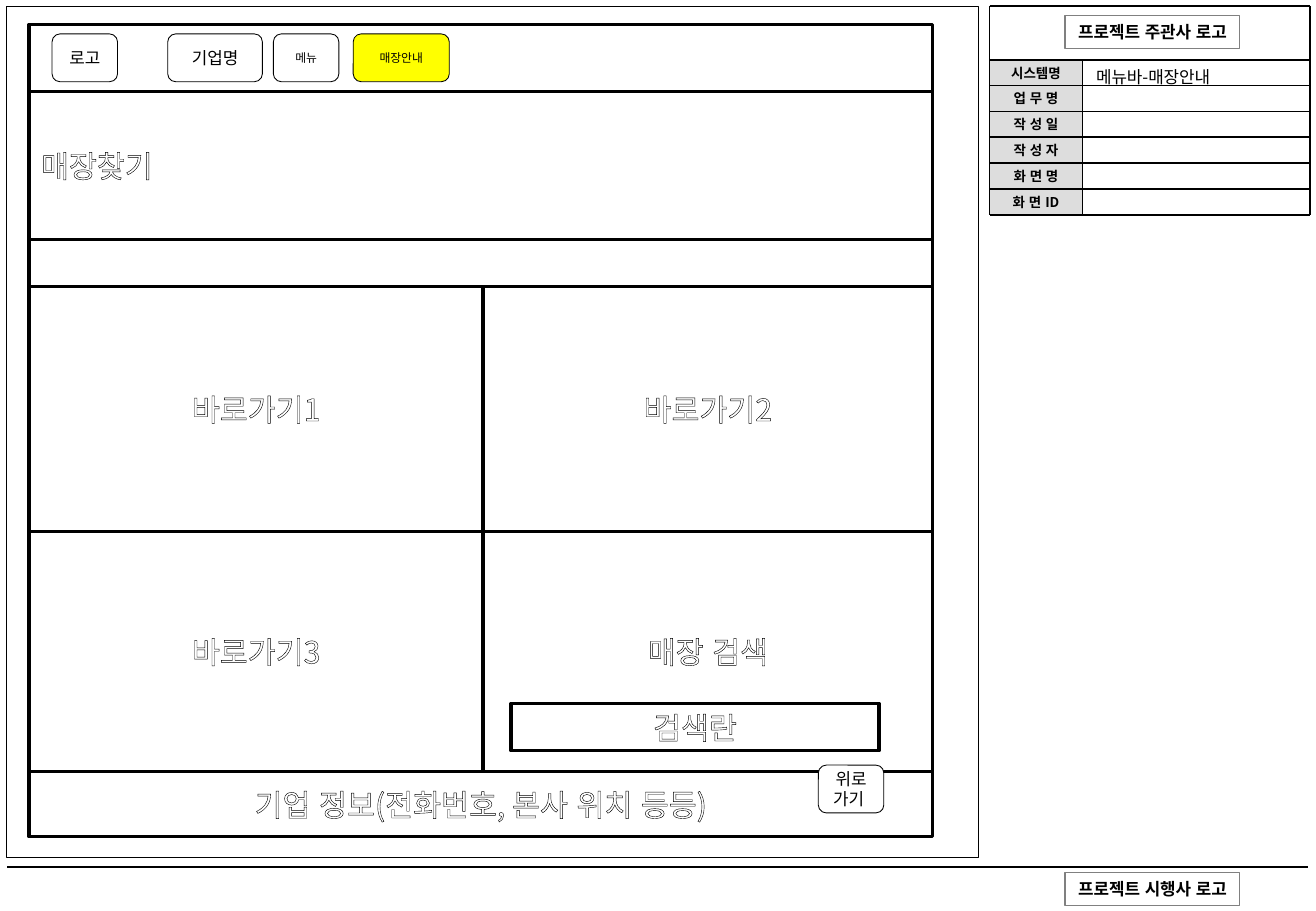
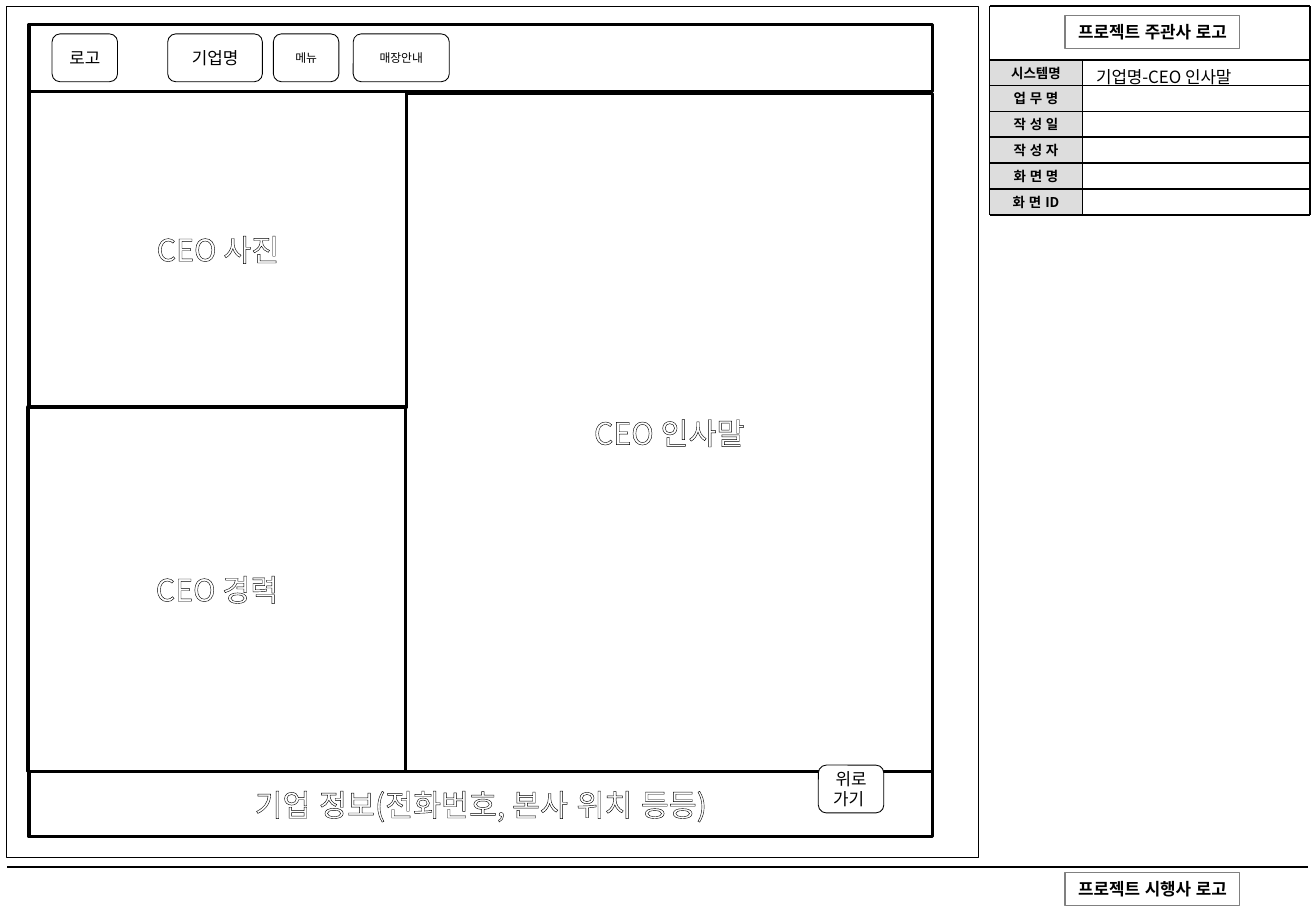
"""Build two storyboard slides that share one project frame and page wireframe."""
from dataclasses import dataclass

from lxml import etree
from pptx import Presentation
from pptx.dml.color import RGBColor
from pptx.enum.lang import MSO_LANGUAGE_ID
from pptx.enum.shapes import MSO_CONNECTOR, MSO_SHAPE
from pptx.enum.text import MSO_ANCHOR, PP_ALIGN
from pptx.oxml import parse_xml
from pptx.oxml.ns import nsdecls, qn
from pptx.slide import Slide
from pptx.util import Cm, Pt

RECT = MSO_SHAPE.RECTANGLE
ROUND = MSO_SHAPE.ROUNDED_RECTANGLE
STRAIGHT = MSO_CONNECTOR.STRAIGHT
MIDDLE, TOP = MSO_ANCHOR.MIDDLE, MSO_ANCHOR.TOP
LEFT, CENTER = PP_ALIGN.LEFT, PP_ALIGN.CENTER
KOREAN = MSO_LANGUAGE_ID.KOREAN


@dataclass(frozen=True)
class Theme:
    font: str = "Noto Sans CJK KR"
    white: str = "FFFFFF"
    black: str = "000000"
    label: str = "DDDDDD"
    gray: str = "808080"
    active: str = "FFFF00"
    tiny: float = 7
    small: float = 8
    body: float = 10
    title: float = 18
    thin: float = 0.5
    frame: float = 0.7
    grid: float = 0.95
    thick: float = 2
    outline: float = 0.75


T = Theme()


@dataclass(frozen=True)
class Style:
    size: float = T.body
    color: str = T.black
    bold: bool = False
    outlined: bool = False
    align: PP_ALIGN = CENTER
    anchor: MSO_ANCHOR = MIDDLE
    inset: tuple[float, float] = (0.25, 0.13)
    wrap: bool = True


@dataclass(frozen=True)
class Box:
    x: float
    y: float
    w: float
    h: float
    text: str = ""
    style: Style = Style()
    fill: str = T.white
    line: str = T.black
    weight: float = T.thick
    kind: MSO_SHAPE = RECT


@dataclass(frozen=True)
class Button:
    x: float
    w: float
    text: str
    size: float = T.body


@dataclass(frozen=True)
class Screen:
    name: str
    panes: tuple[Box, ...]
    active: str = ""


PANE = Style(size=T.title, color=T.white, outlined=True)
HERO = Style(size=T.title, color=T.white, outlined=True, align=LEFT)
LABEL = Style(size=T.small, bold=True, inset=(0.1, 0.1))
LOGO = Style(bold=True, wrap=False)
VALUE = Style(align=LEFT, anchor=TOP)

PAGE_X, PAGE_W, PAGE_TOP, HEAD_H = 0.61, 18.9, 0.51, 1.4
PAGE_R, BODY_Y, FOOT_Y, FOOT_H = PAGE_X + PAGE_W, PAGE_TOP + HEAD_H, 16.13, 1.37
BUTTON_Y, BUTTON_W, BUTTON_H = 0.71, 1.37, 1
PANEL_X, PANEL_MID, PANEL_R, PANEL_TOP = 20.7, 22.65, 27.41, 0.13
ROWS_Y, ROW_H = 1.25, 0.54
LABELS = ("시스템명", "업 무 명", "작 성 일", "작 성 자", "화 면 명", "화 면 ID")
LOGOS = ((0.33, "프로젝트 주관사 로고"), (18.24, "프로젝트 시행사 로고"))
NAV = (
    Button(1.09, BUTTON_W, "로고"),
    Button(3.51, 1.98, "기업명"),
    Button(5.72, BUTTON_W, "메뉴", T.tiny),
    Button(7.39, 2.01, "매장안내", T.tiny),
)


def rgb(color: str) -> RGBColor:
    return RGBColor.from_string(color)


def write(sp, text: str, style: Style) -> None:
    tf = sp.text_frame
    dx, dy = (Cm(v) for v in style.inset)
    frame = {"word_wrap": style.wrap, "vertical_anchor": style.anchor,
             "margin_left": dx, "margin_right": dx, "margin_top": dy, "margin_bottom": dy}
    for key, value in frame.items():
        setattr(tf, key, value)
    p = tf.paragraphs[0]
    p.alignment = style.align
    r = p.add_run()
    r.text = text
    face = {"name": T.font, "size": Pt(style.size), "bold": style.bold, "language_id": KOREAN}
    for key, value in face.items():
        setattr(r.font, key, value)
    r.font.color.rgb = rgb(style.color)
    rpr = r.font._element
    rpr.find(qn("a:latin")).addnext(parse_xml(f'<a:ea {nsdecls("a")} typeface="{T.font}"/>'))
    if style.outlined:
        rpr.insert(0, parse_xml(
            f'<a:ln {nsdecls("a")} w="{Pt(T.outline)}"><a:solidFill>'
            f'<a:srgbClr val="{T.black}"/></a:solidFill></a:ln>'))


def draw(s: Slide, box: Box) -> None:
    sp = s.shapes.add_shape(box.kind, *(Cm(v) for v in (box.x, box.y, box.w, box.h)))
    sp.shadow.inherit = False
    sp.fill.solid()
    sp.fill.fore_color.rgb = rgb(box.fill)
    if box.weight:
        sp.line.color.rgb = rgb(box.line)
        sp.line.width = Pt(box.weight)
    else:
        sp.line.fill.background()
    if box.text:
        write(sp, box.text, box.style)


def rule(s: Slide, x1: float, y1: float, x2: float, y2: float, weight: float = T.grid) -> None:
    sp = s.shapes.add_connector(STRAIGHT, *(Cm(v) for v in (x1, y1, x2, y2)))
    sp.line.color.rgb = rgb(T.black)
    sp.line.width = Pt(weight)
    etree.SubElement(sp._element.spPr, qn("a:effectLst"))


def button(s: Slide, b: Button, y: float = BUTTON_Y, fill: str = T.white) -> None:
    draw(s, Box(b.x, y, b.w, BUTTON_H, b.text, Style(size=b.size), fill,
                weight=T.thin, kind=ROUND))


def project_frame(s: Slide, name: str) -> None:
    draw(s, Box(0.13, 0.13, 20.35, 17.81, weight=T.frame))
    draw(s, Box(PANEL_X, PANEL_TOP, PANEL_R - PANEL_X, ROWS_Y - PANEL_TOP, weight=0))
    edges = [ROWS_Y + i * ROW_H for i in range(len(LABELS) + 1)]
    for y, label in zip(edges, LABELS):
        draw(s, Box(PANEL_MID, y, PANEL_R - PANEL_MID, ROW_H, weight=0))
        draw(s, Box(PANEL_X, y, PANEL_MID - PANEL_X, ROW_H, label, LABEL, T.label, weight=0))
    for y in (PANEL_TOP, *edges):
        rule(s, PANEL_X, y, PANEL_R, y)
    for x, y in ((PANEL_X, PANEL_TOP), (PANEL_MID, ROWS_Y), (PANEL_R, PANEL_TOP)):
        rule(s, x, y, x, edges[-1])
    rule(s, 0.15, 18.13, 27.36, 18.13, T.frame)
    for y, text in LOGOS:
        draw(s, Box(22.28, y, 3.66, 0.69, text, LOGO, line=T.gray, weight=T.frame))
    sp = s.shapes.add_textbox(Cm(22.68), Cm(1.27), Cm(4.67), Cm(0.69))
    write(sp, name, VALUE)


def build(s: Slide, screen: Screen) -> None:
    project_frame(s, screen.name)
    draw(s, Box(PAGE_X, PAGE_TOP, PAGE_W, HEAD_H))
    for b in NAV:
        button(s, b, fill=T.active if b.text == screen.active else T.white)
    for pane in screen.panes:
        draw(s, pane)
    draw(s, Box(PAGE_X, FOOT_Y, PAGE_W, FOOT_H, "기업 정보(전화번호, 본사 위치 등등)", PANE))
    button(s, Button(17.12, BUTTON_W, "위로가기 "), y=16)


def store_panes() -> tuple[Box, ...]:
    xs, ys = (PAGE_X, 10.11, PAGE_R), (5.99, 11.11, FOOT_Y)
    names = (("바로가기1", "바로가기2"), ("바로가기3", "매장 검색"))
    cells = [Box(xs[c], ys[r], xs[c + 1] - xs[c], ys[r + 1] - ys[r], text, PANE)
             for r, row in enumerate(names) for c, text in enumerate(row)]
    return (Box(PAGE_X, BODY_Y, PAGE_W, ys[0] - BODY_Y), *cells,
            Box(10.69, 14.71, 7.7, 0.99, "검색란", PANE),
            Box(PAGE_X, BODY_Y, PAGE_W, 3.1, "매장찾기", HERO))


def ceo_panes() -> tuple[Box, ...]:
    split_x, split_y, top, w = 8.49, 8.51, 1.96, 7.9
    return (Box(split_x, top, PAGE_R - split_x, FOOT_Y - top, "CEO 인사말", PANE),
            Box(PAGE_X, BODY_Y, w, split_y - BODY_Y, "CEO 사진", PANE),
            Box(split_x - w, split_y, w, FOOT_Y - split_y, "CEO 경력", PANE))


def main() -> None:
    prs = Presentation()
    prs.slide_width, prs.slide_height = Cm(27.53), Cm(19.05)
    for screen in (Screen("메뉴바-매장안내", store_panes(), "매장안내"),
                   Screen("기업명-CEO 인사말", ceo_panes())):
        build(prs.slides.add_slide(prs.slide_layouts[6]), screen)
    prs.save("out.pptx")


if __name__ == "__main__":
    main()
